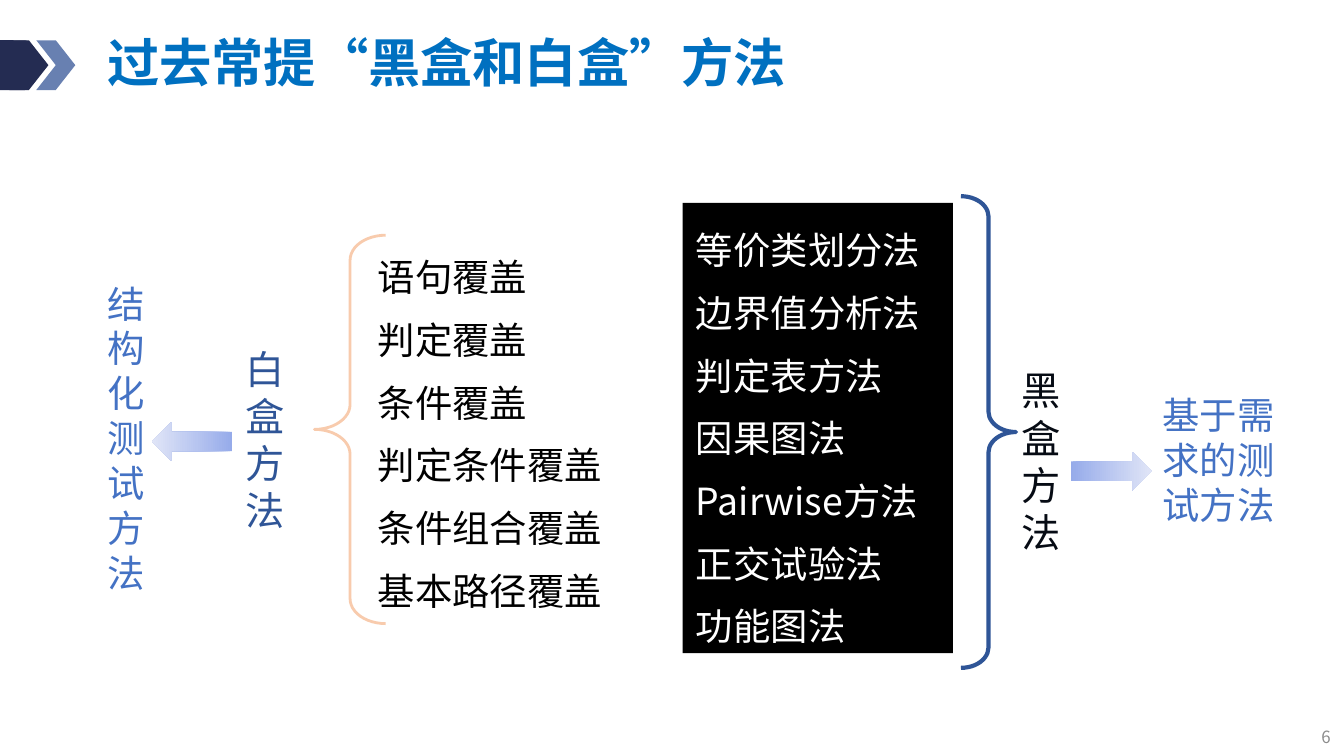
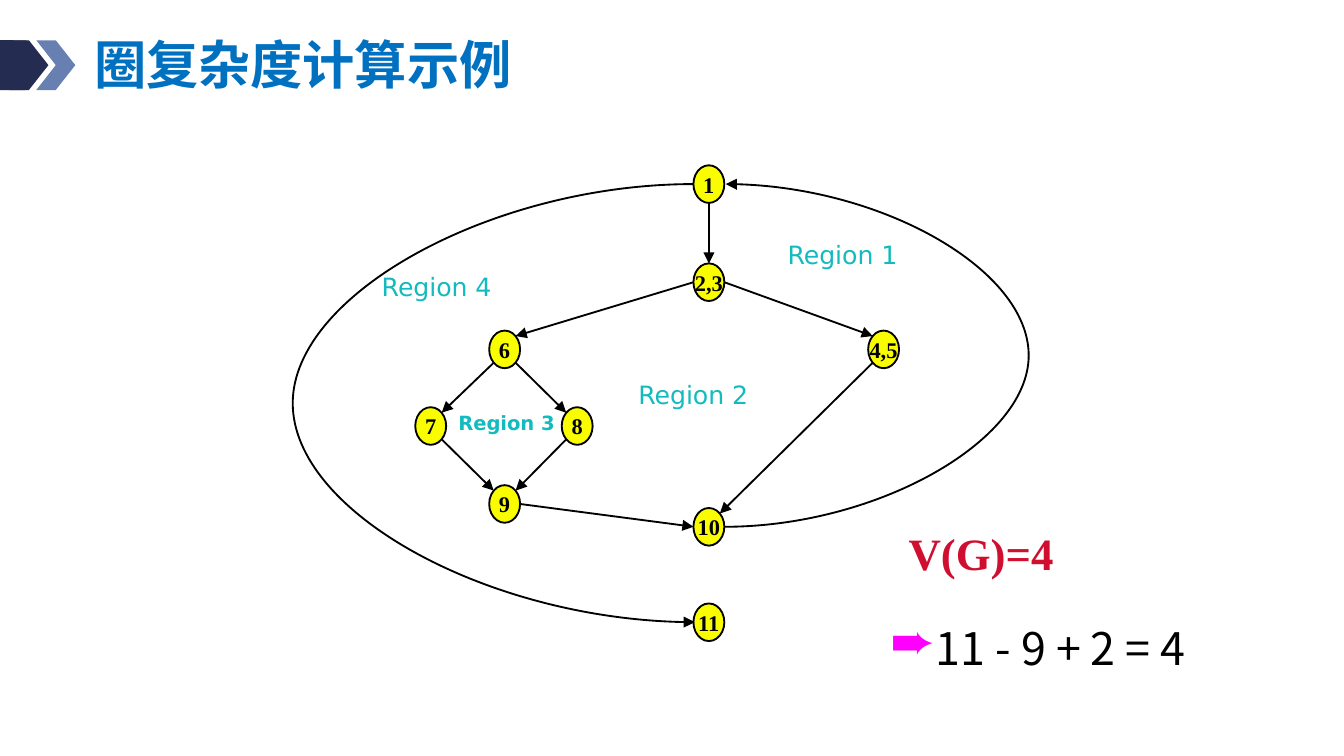
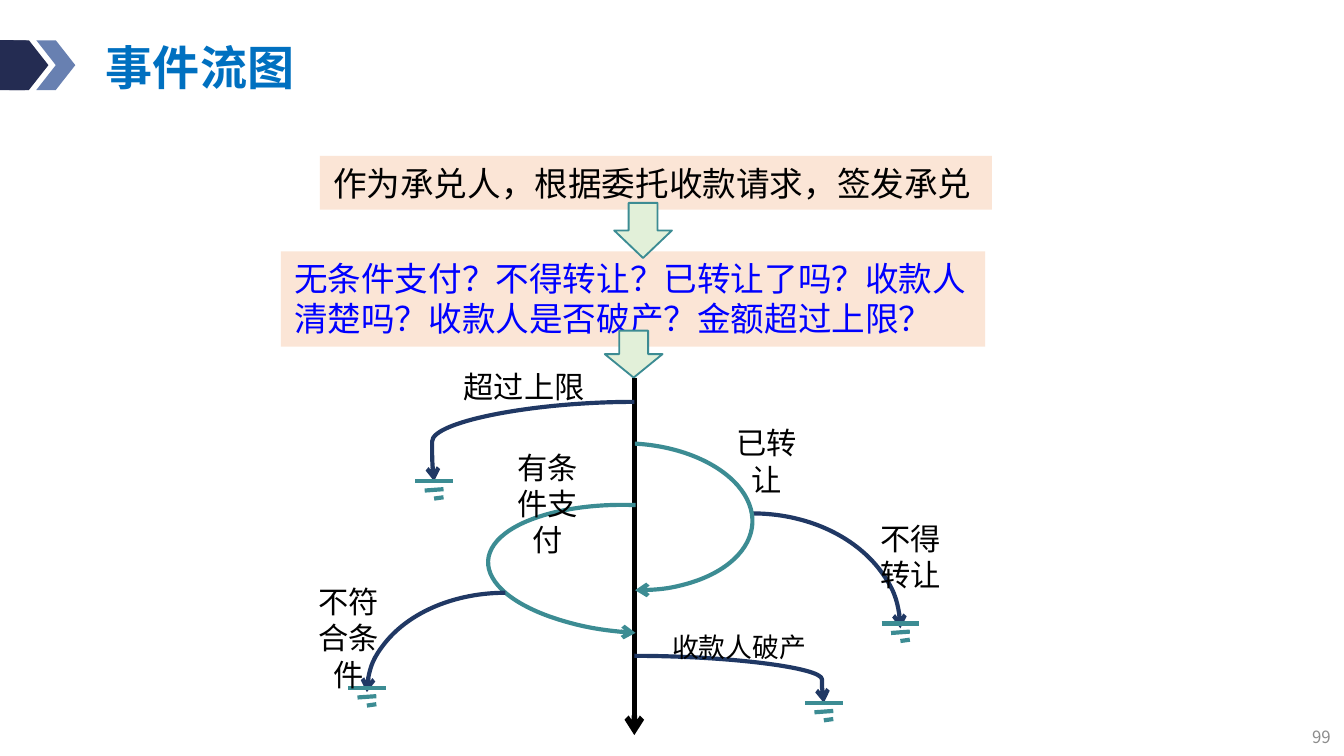
from lxml.etree import SubElement
from pptx import Presentation
from pptx.dml.color import RGBColor
from pptx.enum.shapes import MSO_CONNECTOR as CONN, MSO_SHAPE as SHAPE
from pptx.enum.text import MSO_ANCHOR as ANCHOR, MSO_AUTO_SIZE as AUTO, PP_ALIGN as ALIGN
from pptx.oxml.ns import qn
from pptx.util import Inches, Pt

SANS, LATIN, SERIF, LABEL = "Noto Sans CJK SC", "Calibri", "Times New Roman", "DejaVu Sans"
BLACK, WHITE, NAVY, STEEL = "000000", "FFFFFF", "242C52", "6880B1"
TITLE, GRAY, BLUE, DEEP = "0070C0", "8C8C8C", "4472C4", "2F5597"
TEAL, INK, PEACH, MINT = "3C8C93", "203864", "FBE5D6", "E2F0D9"
CYAN, YELLOW, CRIMSON, MAGENTA = "13BBBF", "FAFD00", "CF0E30", "FF00FF"
TIGHT = (0.07, 0.04, 0.07, 0.04)
DEFAULT = (0.1, 0.05, 0.1, 0.05)
DIAG = 0.71


def rgb(value):
    """Turn a hex string into a colour."""
    return RGBColor.from_string(value)


def sub(parent, tag, **attrs):
    """Append a DrawingML element."""
    return SubElement(parent, qn(tag), attrs)


def stroke(line, color, width, head=None, tail=None):
    """Style an outline and its arrowheads."""
    line.color.rgb = rgb(color)
    line.width = Pt(width)
    ln = line.fill._xPr
    for tag, kind in (("a:headEnd", head), ("a:tailEnd", tail)):
        if kind:
            sub(ln, tag, type=kind)


def add_shape(s, kind, box, fill=None, line=None, adj=(), rot=0, head=None, tail=None):
    """Add a flat preset shape; line is a colour and a width."""
    sp = s.shapes.add_shape(kind, *map(Inches, box))
    sp.shadow.inherit = False
    sp.rotation = rot
    for i, value in enumerate(adj):
        sp.adjustments[i] = value
    if fill:
        sp.fill.solid()
        sp.fill.fore_color.rgb = rgb(fill)
    else:
        sp.fill.background()
    if line:
        stroke(sp.line, *line, head, tail)
    else:
        sp.line.fill.background()
    return sp


def add_line(s, start, end, color, width, tail=None, bend=None):
    """Add a straight connector, or a curved one when bend is given."""
    kind = CONN.STRAIGHT if bend is None else CONN.CURVE
    cn = s.shapes.add_connector(kind, *map(Inches, (*start, *end)))
    stroke(cn.line, color, width, tail=tail)
    spPr = cn._element.spPr
    if bend is not None:
        geom = spPr.find(qn("a:prstGeom"))
        guides = geom.find(qn("a:avLst"))
        if guides is None:
            guides = sub(geom, "a:avLst")
        sub(guides, "a:gd", name="adj1", fmla=f"val {round(bend * 100000)}")
    sub(spPr, "a:effectLst")
    return cn


def write(sp, lines, size, color, font=SANS, bold=False, align=ALIGN.LEFT, middle=False,
          wrap=True, inset=DEFAULT, spacing=None, margin=None, bullet=None):
    """Fill a shape with paragraphs of one style."""
    tf = sp.text_frame
    tf.word_wrap = wrap
    tf.auto_size = AUTO.NONE if middle else AUTO.SHAPE_TO_FIT_TEXT
    tf.vertical_anchor = ANCHOR.MIDDLE if middle else ANCHOR.TOP
    tf.margin_left, tf.margin_top, tf.margin_right, tf.margin_bottom = map(Inches, inset)
    for i, text in enumerate(lines):
        p = tf.add_paragraph() if i else tf.paragraphs[0]
        p.add_run().text = text
        p.alignment = align
        pPr = p._p.get_or_add_pPr()
        if margin:
            left, indent = map(Inches, margin)
            pPr.set("marL", str(left))
            pPr.set("indent", str(indent))
        if bullet:
            char, tint, percent = bullet
            sub(sub(pPr, "a:buClr"), "a:srgbClr", val=tint)
            sub(pPr, "a:buSzPct", val=str(percent * 1000))
            sub(pPr, "a:buChar", char=char)
        if spacing:
            p.line_spacing = spacing
        p.font.size, p.font.name, p.font.bold = Pt(size), font, bold
        p.font.color.rgb = rgb(color)
        sub(pPr.find(qn("a:defRPr")), "a:ea", typeface=font)


def add_text(s, box, lines, size, color, **style):
    """Add a text box."""
    write(s.shapes.add_textbox(*map(Inches, box)), lines, size, color, **style)


def new_slide(prs, title, box, size=28, number=None, inset=DEFAULT):
    """Add a slide with the chevron band, a title and a page number."""
    s = prs.slides.add_slide(prs.slide_layouts[6])
    add_shape(s, SHAPE.ROUNDED_RECTANGLE, (-0.13, 0.3, 0.35, 0.37), NAVY, adj=[0.1])
    for x, color in ((0.27, STEEL), (0.07, NAVY)):
        add_shape(s, SHAPE.CHEVRON, (x, 0.3, 0.29, 0.37), color)
    add_text(s, box, [title], size, TITLE, bold=True, middle=True, spacing=0.9, inset=inset)
    if number:
        add_text(s, (0, 5.37, 10, 0.22), [number], 9, GRAY, align=ALIGN.RIGHT, middle=True)
    return s


def fading_arrow(s, box, rot=0):
    """Add a left arrow that fades towards its tip."""
    sp = add_shape(s, SHAPE.LEFT_ARROW, box, BLUE, rot=rot)
    sp.fill.gradient()
    sp.fill.gradient_angle = 180
    for stop, color in zip(sp.fill.gradient_stops, ("96ABEA", "E0E5F7")):
        stop.color.rgb = rgb(color)


def white_box_methods(s, x, y):
    """Place the structural methods, their brace and names."""
    add_shape(s, SHAPE.ROUNDED_RECTANGLE, (x + 2.06, y, 2.07, 3.13), WHITE)
    add_text(s, (x + 2.11, y + 0.13, 1.95, 2.76),
             ["语句覆盖", "判定覆盖", "条件覆盖", "判定条件覆盖", "条件组合覆盖", "基本路径覆盖"],
             20, BLACK, spacing=1.4, margin=(0.09, -0.09), inset=(0, 0, 0, 0))
    add_shape(s, SHAPE.LEFT_BRACE, (x + 1.64, y + 0.12, 0.53, 2.89),
              line=("F8CBAD", 1.5), adj=[0.35, 0.5])
    add_text(s, (x + 1.03, y + 0.89, 0.77, 1.51), ["白盒方法"], 21, DEEP)
    add_text(s, (x, y + 0.41, 0.6, 2.46), ["结构化测试方法"], 20, BLUE)
    fading_arrow(s, (x + 0.43, y + 1.51, 0.6, 0.29))


def black_box_methods(s, x, y):
    """Place the requirement-based methods, their brace and names."""
    panel = add_shape(s, SHAPE.RECTANGLE, (x, y, 2.01, 3.35), BLACK)
    write(panel, ["等价类划分法", "边界值分析法", "判定表方法", "因果图法",
                  "Pairwise方法", "正交试验法", "功能图法"], 20, WHITE, spacing=1.4)
    add_shape(s, SHAPE.RIGHT_BRACE, (x + 2.07, y - 0.05, 0.41, 3.51),
              line=(DEEP, 2.25), adj=[0.37, 0.5])
    add_text(s, (x + 2.42, y + 1.17, 0.77, 1.51), ["黑盒方法"], 21, "060B14")
    add_text(s, (x + 3.47, y + 1.36, 1.05, 1.11), ["基于需求的测试方法"], 20, BLUE)
    fading_arrow(s, (x + 2.89, y + 1.85, 0.6, 0.29), rot=180)


def flow_graph(s, x, y):
    """Place the control flow graph with its regions."""
    w, h = 0.23, 0.28
    nodes = {"1": (2.07, 0), "2,3": (2.07, 0.73), "7": (0, 1.8), "8": (1.09, 1.8),
             "6": (0.55, 1.23), "9": (0.55, 2.38), "4,5": (3.37, 1.23),
             "10": (2.07, 2.55), "11": (2.07, 3.26)}
    sides = {"N": (0, -1), "S": (0, 1), "W": (-1, 0), "E": (1, 0), "NW": (-DIAG, -DIAG),
             "NE": (DIAG, -DIAG), "SW": (-DIAG, DIAG), "SE": (DIAG, DIAG)}

    def site(name, side):
        """Find the point on a node's rim."""
        (dx, dy), (ux, uy) = nodes[name], sides[side]
        return x + dx + w / 2 * (1 + ux), y + dy + h / 2 * (1 + uy)

    for name, (dx, dy) in nodes.items():
        node = add_shape(s, SHAPE.OVAL, (x + dx, y + dy, w, h), YELLOW, (BLACK, 1))
        write(node, [name], 12, BLACK, font=SERIF, bold=True, align=ALIGN.CENTER,
              middle=True, wrap=False, inset=TIGHT)
    for name, dx, dy in (("Region 1", 2.7, 0.51), ("Region 2", 1.59, 1.55),
                         ("Region 4", -0.32, 0.75)):
        add_text(s, (x + dx, y + dy, 0.98, 0.3), [name], 13.5, CYAN, font=LABEL,
                 wrap=False, inset=TIGHT)
    add_text(s, (x + 0.25, y + 1.79, 0.88, 0.25), ["Region 3"], 10.5, CYAN, font=LABEL,
             bold=True, wrap=False, inset=TIGHT)
    for a, start, b, end in (("2,3", "E", "4,5", "NW"), ("1", "S", "2,3", "N"),
                             ("2,3", "W", "6", "NE"), ("6", "SE", "8", "NW"),
                             ("6", "SW", "7", "NE"), ("7", "SE", "9", "NW"),
                             ("8", "SW", "9", "NE"), ("9", "E", "10", "W"),
                             ("4,5", "SW", "10", "NE")):
        add_line(s, site(a, start), site(b, end), BLACK, 1, "triangle")
    for a, b, side, bend in (("10", "1", "E", 230), ("1", "11", "W", -303)):
        start, (ex, ey) = site(a, side), site(b, side)
        add_line(s, start, (ex + 0.01, ey), BLACK, 1, "triangle", bend)


def complexity_result(s, x, y):
    """Place the complexity value and its calculation."""
    add_text(s, (x + 0.54, y, 1.24, 0.48), ["V(G)=4"], 24, CRIMSON, font=SERIF,
             bold=True, wrap=False, inset=TIGHT)
    add_text(s, (x, y + 0.5, 3.78, 0.64), ["11 - 9 + 2 = 4"], 24, BLACK, spacing=1.5,
             margin=(0.61, -0.23), bullet=("➨", MAGENTA, 120))


def request_steps(s, x, y):
    """Place the request, the questions and the arrows below them."""
    for box, text, color, wrap in (
            ((x + 0.29, y, 5, 0.4), "作为承兑人，根据委托收款请求，签发承兑", BLACK, False),
            ((x, y + 0.71, 5.24, 0.71),
             "无条件支付？不得转让？已转让了吗？收款人清楚吗？收款人是否破产？金额超过上限？",
             "0000FF", True)):
        panel = add_shape(s, SHAPE.RECTANGLE, box, PEACH)
        write(panel, [text], 18, color, font=LATIN, wrap=wrap)
    for dx, dy, h in ((2.48, 0.35, 0.41), (2.41, 1.3, 0.35)):
        add_shape(s, SHAPE.DOWN_ARROW, (x + dx, y + dy, 0.43, h), MINT, (TEAL, 1))


def end_mark(s, x, y):
    """Draw the three strokes that end a branch."""
    for x1, y1, x2, y2 in ((0, 0, 0.28, 0), (0.07, 0.07, 0.21, 0.06),
                           (0.14, 0.13, 0.21, 0.12)):
        add_line(s, (x + x1, y + y1), (x + x2, y + y2), TEAL, 2.25)


def event_flow(s, x, y):
    """Place the main flow, its branches and their labels."""
    spine = x + 2.55
    add_line(s, (spine, y + 0.12), (spine, y + 2.78), BLACK, 3, "arrow")
    loop = [162, 50.22]
    for dx, dy, w, h, rot, adj, color, ends in (
            (1.46, 1.07, 2.25, 0.95, 183.2, loop, TEAL, {"head": "arrow"}),
            (2.33, 1.13, 2.2, 1.71, 0, (), INK, {"tail": "arrow"}),
            (1.62, 0.61, 1.81, 1.09, 3.1, loop, TEAL, {"tail": "arrow"}),
            (0.85, 1.43, 1.48, 2.06, 270, (), INK, {"head": "arrow"})):
        add_shape(s, SHAPE.ARC, (x + dx, y + dy, w, h), line=(color, 2.25),
                  adj=adj, rot=rot, **ends)
    for y1, dx, y2, bend in ((0.3, 1.06, 0.89, 1.01), (2.19, 3.96, 2.54, 0.99)):
        add_line(s, (spine, y + y1), (x + dx, y + y2), INK, 2.25, "arrow", bend)
    for dx, dy in ((4.39, 1.95), (0.92, 0.89), (3.82, 2.54), (0.42, 2.43)):
        end_mark(s, x + dx, y + dy)
    for lines, dx, dy, w, h, size in (
            (["有条件支付"], 1.48, 0.6, 0.85, 0.92, 16.2),
            (["已转让"], 3.11, 0.42, 0.85, 0.65, 16.2),
            (["不得", "转让"], 4.18, 1.13, 0.85, 0.65, 16.2),
            (["超过上限"], 1.13, 0, 1.2, 0.37, 16.2),
            (["收款人破产"], 2.62, 1.95, 1.42, 0.34, 14.4),
            (["不符合条件"], 0, 1.6, 0.85, 0.92, 16.2)):
        add_text(s, (x + dx, y + dy, w, h), lines, size, BLACK, font=LATIN,
                 align=ALIGN.CENTER)


def main():
    """Build the three slides."""
    prs = Presentation()
    prs.slide_width = Inches(10)
    prs.slide_height = prs.slide_width * 9 // 16

    s = new_slide(prs, "过去常提“黑盒和白盒”方法", (0.7, 0.19, 5.71, 0.6), number="6")
    black_box_methods(s, 5.08, 1.51)
    white_box_methods(s, 0.7, 1.63)

    s = new_slide(prs, "圈复杂度计算示例", (0.63, 0.09, 4.92, 0.83), inset=TIGHT)
    flow_graph(s, 3.09, 1.23)
    complexity_result(s, 6.15, 3.87)

    s = new_slide(prs, "事件流图", (0.69, 0.29, 1.9, 0.46), size=25.2, number="99")
    request_steps(s, 2.09, 1.16)
    event_flow(s, 2.17, 2.69)

    prs.save("out.pptx")


if __name__ == "__main__":
    main()
